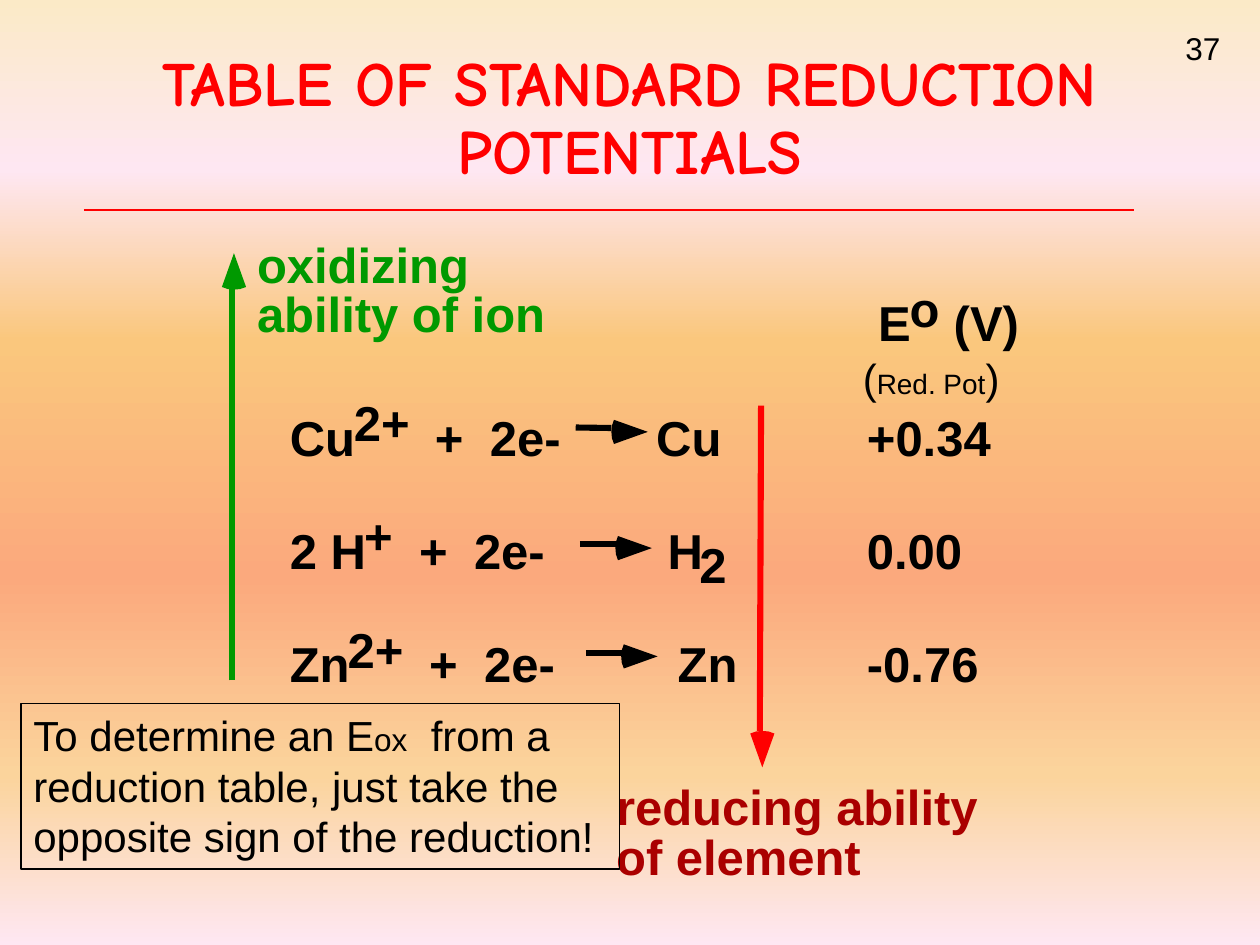
from lxml import etree
from pptx import Presentation
from pptx.dml.color import RGBColor
from pptx.enum.shapes import MSO_CONNECTOR, MSO_SHAPE
from pptx.enum.text import MSO_ANCHOR, PP_ALIGN
from pptx.oxml.ns import qn
from pptx.util import Pt

LINE, RECT = MSO_CONNECTOR.STRAIGHT, MSO_SHAPE.RECTANGLE
TOP, MIDDLE = MSO_ANCHOR.TOP, MSO_ANCHOR.MIDDLE
LEFT, CENTER = PP_ALIGN.LEFT, PP_ALIGN.CENTER
rgb = RGBColor.from_string
BLACK, RED, GREEN, DARK_RED = "000000", "FF0000", "009900", "AA0000"


def add_text(box, runs, color=BLACK, bold=True, inset=0, sp=None):
    sp = sp or s.shapes.add_textbox(*map(Pt, box))
    tf = sp.text_frame
    tf.word_wrap = True
    tf.margin_left = tf.margin_right = Pt(2 * inset)
    tf.margin_top = tf.margin_bottom = Pt(inset)
    tf.vertical_anchor = TOP
    p = tf.paragraphs[0]
    p.alignment = LEFT
    for text, size in runs:
        r = p.add_run()
        r.text = text
        r.font.name = "Arial"
        r.font.size = Pt(size)
        r.font.bold = bold
        r.font.color.rgb = rgb(color)
    return p


def add_line(x1, y1, x2, y2, color, width):
    sp = s.shapes.add_connector(LINE, Pt(x1), Pt(y1), Pt(x2), Pt(y2))
    sp.line.color.rgb = rgb(color)
    sp.line.width = Pt(width)
    etree.SubElement(sp.element.spPr, qn("a:effectLst"))


prs = Presentation()
prs.slide_width, prs.slide_height = Pt(720), Pt(540)
s = prs.slides.add_slide(prs.slide_layouts[6])

fill = s.background.fill
fill.gradient()
fill.gradient_angle = 270
stops = next(s.element.iter(qn("a:gsLst")))
for stop in list(stops):
    stops.remove(stop)
for pos, color in [(0, "FBEAC7"), (18, "FEE7F2"), (36, "FAC77D"),
                   (61, "FBA97D"), (82, "FBD49C"), (100, "FEE7F2")]:
    stop = etree.SubElement(stops, qn("a:gs"), pos=str(pos * 1000))
    etree.SubElement(stop, qn("a:srgbClr"), val=color)

add_text((670.3, 13, 36, 28.8), [("37", 18)], bold=False, inset=3.6)

p = add_text((77.8, 23.8, 563.8, 90), [("TABLE OF STANDARD REDUCTION POTENTIALS", 36)], RED, inset=3.6)
p.alignment = CENTER
p.line_spacing = 0.9
r = p.runs[0]
r.font.name = "Comic Neue"
s.shapes[-1].text_frame.vertical_anchor = MIDDLE
effects = etree.Element(qn("a:effectLst"))
shadow = etree.SubElement(effects, qn("a:outerShdw"), dist="35921", dir="2700000")
etree.SubElement(shadow, qn("a:srgbClr"), val=BLACK)
r.font.fill  
r.font.color.rgb = rgb(RED)
next(r.font._element.iter(qn("a:solidFill"))).addnext(effects)

labels = [
    ("E", 501.8, 167, BLACK),
    ("o", 519.8, 159.1, BLACK),
    ("(V)", 545, 167, BLACK),
    ("2", 399.6, 305.3, BLACK),
    ("oxidizing", 146.9, 133.9, GREEN),
    ("ability of ion", 146.9, 162, GREEN),
    ("reducing ability", 352.1, 443.5, DARK_RED),
    ("of element", 352.1, 472.3, DARK_RED),
]
reactions = [
    ("Cu", 202.3, "2+", 248.5, "Cu", 126.5, "+0.34"),
    ("2 H", 208.1, "+", 239.5, "H", 142, "0.00"),
    ("Zn", 198.7, "2+", 245.3, "Zn", 142, "-0.76"),
]
for i, (ion, charge_x, charge, plus_x, product, product_tab, volts) in enumerate(reactions):
    y = 232.6 + 64.8 * i
    labels += [(ion, 165.6, y, BLACK), (charge, charge_x, y - 8.3, BLACK), (volts, 495.4, y, BLACK)]
    p = add_text((plus_x, y, 200, 27.4), [(f"+\t2e-\t{product}", 28)])
    tabs = etree.SubElement(p._p.get_or_add_pPr(), qn("a:tabLst"))
    for pos in (31.4, product_tab):
        etree.SubElement(tabs, qn("a:tab"), pos=str(Pt(pos)), algn="l")
for text, x, y, color in labels:
    add_text((x, y, 15 * len(text) + 20, 27.4), [(text, 28)], color)

arrows = [
    (329, 244.3, 349.4, 244.6, 370.2, 246.8, 1, 0, BLACK),
    (331.4, 311, 352, 311, 372.5, 313.2, 1, 0, BLACK),
    (334.8, 373, 355.2, 373, 375.8, 375.1, 1, 0, BLACK),
    (132.5, 388.8, 132.5, 162.7, 133.7, 144.7, 0, -1, GREEN),
    (434.9, 231.8, 434.2, 417.6, 435.6, 438.5, 0, 1, RED),
]
for x1, y1, x2, y2, tip_x, tip_y, dx, dy, color in arrows:
    add_line(x1, y1, x2, y2, color, 3.5)
    outline = [(Pt(tip_x - back * dx - side * dy), Pt(tip_y - back * dy + side * dx))
               for back, side in [(0, 0), (19.3, 6.9), (20.5, 3.5), (20.8, 0), (20.5, -3.5), (19.3, -6.9)]]
    builder = s.shapes.build_freeform(*outline[0])
    builder.add_line_segments(outline[1:])
    sp = builder.convert_to_shape()
    sp.shadow.inherit = False
    sp.fill.solid()
    sp.fill.fore_color.rgb = rgb(color)
    sp.line.fill.background()

add_line(48, 120, 648, 120, RED, 1)

sp = s.shapes.add_shape(RECT, Pt(12), Pt(402), Pt(342), Pt(94.5))
sp.shadow.inherit = False
sp.fill.background()
sp.line.color.rgb = rgb(BLACK)
sp.line.width = Pt(1)
add_text(None, [("To determine an E", 24), ("ox", 18),
                ("  from a reduction table, just take the opposite sign of the reduction!", 24)],
         bold=False, inset=3.6, sp=sp)

add_text((486, 198, 100, 36), [("(", 24), ("Red. Pot", 16), (")", 24)], bold=False, inset=3.6)

prs.save("out.pptx")
